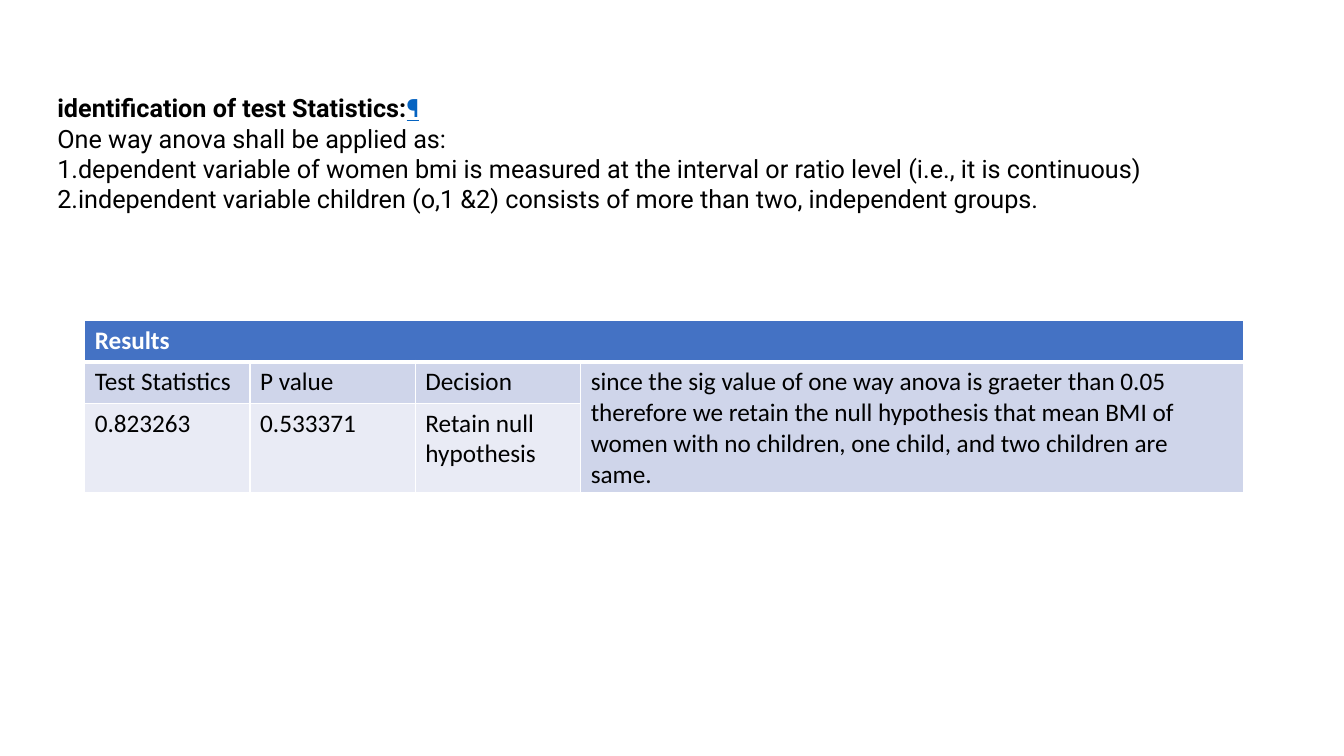
import pptx
import pptx.dml.color
import pptx.enum.text
import pptx.oxml
import pptx.oxml.ns
import pptx.util
from pptx.util import Inches

COLORS = {
    "text": "000000",
    "link": "0563C1",
    "white": "FFFFFF",
    "header": "4472C4",
    "band_dark": "CFD5EA",
    "band_light": "E9EBF5",
}


class SlideBuilder:
    heading_font = "Roboto"
    table_font = "Calibri"
    size = 18

    def __init__(self, page):
        self.page = page

    def color(self, name):
        return pptx.dml.color.RGBColor.from_string(COLORS[name])

    def format_span(self, span, font, color="text", bold=False, underline=False):
        span.font.name = font
        span.font.size = pptx.util.Pt(self.size)
        span.font.bold = bold
        span.font.underline = underline
        span.font.color.rgb = self.color(color)

    def number(self, para):
        properties = para._p.get_or_add_pPr()
        properties.set("marL", "0")
        properties.set("indent", "0")
        bullet = pptx.oxml.parse_xml(
            f'<a:buAutoNum {pptx.oxml.ns.nsdecls("a")} type="arabicPeriod"/>'
        )
        properties.append(bullet)

    def text(self, left, top, width, height, heading, mark, lines, numbered):
        box = self.page.shapes.add_textbox(
            Inches(left), Inches(top), Inches(width), Inches(height)
        )
        frame = box.text_frame
        frame.word_wrap = True
        frame.auto_size = pptx.enum.text.MSO_AUTO_SIZE.SHAPE_TO_FIT_TEXT
        frame.text = heading
        title = frame.paragraphs[0]
        self.format_span(title.runs[0], self.heading_font, bold=True)
        pilcrow = title.add_run()
        pilcrow.text = mark
        self.format_span(pilcrow, self.heading_font, "link", True, True)
        for line in lines + numbered:
            para = frame.add_paragraph()
            para.text = line
            self.format_span(para.runs[0], self.heading_font)
            if line in numbered:
                self.number(para)

    def border(self, cell, side, points):
        line = pptx.oxml.parse_xml(
            f'<a:ln{side} {pptx.oxml.ns.nsdecls("a")} w="{pptx.util.Pt(points)}">'
            f'<a:solidFill><a:srgbClr val="{COLORS["white"]}"/></a:solidFill>'
            f'</a:ln{side}>'
        )
        cell._tc.get_or_add_tcPr().append(line)

    def table(self, left, top, widths, heights, rows, fills, merges):
        table = self.page.shapes.add_table(
            len(heights), len(widths), Inches(left), Inches(top),
            Inches(sum(widths)), Inches(sum(heights))
        ).table
        for column, width in zip(table.columns, widths):
            column.width = Inches(width)
        for row, height in zip(table.rows, heights):
            row.height = Inches(height)
        for start, end in merges:
            table.cell(*start).merge(table.cell(*end))
        for r, texts in enumerate(rows):
            for c in range(len(widths)):
                cell = table.cell(r, c)
                for side in "LRTB":
                    heavy = (r, side) in ((0, "B"), (1, "T"))
                    self.border(cell, side, 3 if heavy else 1)
                cell.fill.solid()
                cell.fill.fore_color.rgb = self.color(fills[r])
                if c < len(texts):
                    cell.text = texts[c]
                    self.format_span(
                        cell.text_frame.paragraphs[0].runs[0], self.table_font,
                        "text" if r else "white", bold=r == 0
                    )


def main():
    deck = pptx.Presentation()
    deck.slide_width = Inches(13.33)
    deck.slide_height = Inches(7.5)
    slide = SlideBuilder(deck.slides.add_slide(deck.slide_layouts[6]))
    slide.text(
        0.47, 0.87, 12.24, 1.31,
        "identification of test Statistics:", "¶",
        ["One way anova shall be applied as:"],
        [
            "dependent variable of women bmi is measured at the interval or ratio level (i.e., it is continuous)",
            "independent variable children (o,1 &2) consists of more than two, independent groups.",
        ],
    )
    conclusion = (
        "since the sig value of one way anova is graeter than 0.05 therefore we retain "
        "the null hypothesis that mean BMI of women with no children, one child, "
        "and two children are same."
    )
    slide.table(
        0.84, 3.18, [1.64, 1.64, 1.64, 6.57], [0.41, 0.41, 0.89],
        [
            ["Results"],
            ["Test Statistics", "P value", "Decision", conclusion],
            ["0.823263", "0.533371", "Retain null hypothesis"],
        ],
        ["header", "band_dark", "band_light"],
        [((0, 0), (0, 3)), ((1, 3), (2, 3))],
    )
    deck.save("out.pptx")


if __name__ == "__main__":
    main()
